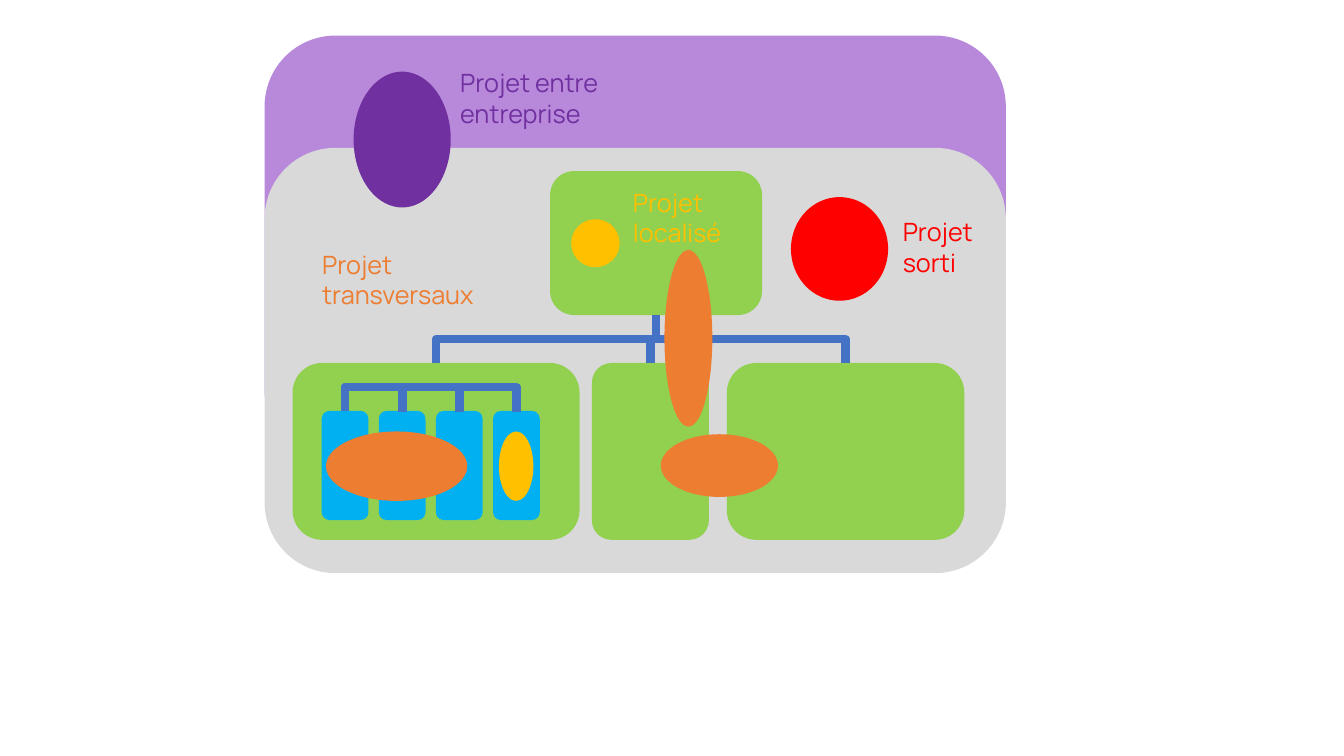
from pptx import Presentation
from pptx import util as u
from pptx.dml import color
from pptx.enum import shapes, text
from pptx.oxml import ns
from lxml import etree

Pt = u.Pt
THEME = {
    "lilac": "B889DB", "grey": "D9D9D9", "green": "92D050", "cyan": "00B0F0",
    "gold": "FFC000", "orange": "ED7D31", "red": "FF0000", "purple": "7030A0",
    "link": "4472C4", "font": "Manrope", "size": 18, "line": 6,
}
ROUND = shapes.MSO_SHAPE.ROUNDED_RECTANGLE
OVAL = shapes.MSO_SHAPE.OVAL


def hue(name):
    """Return a theme colour as RGB."""
    return color.RGBColor.from_string(THEME[name])


def link(start, end, mid):
    """Join two points with an elbow whose level part lies at height mid."""
    (x1, y1), (x2, y2) = start, end
    dx, dy = x2 - x1, y2 - y1
    cx, cy = (x1 + x2) / 2, (y1 + y2) / 2
    # The elbow is laid flat about its centre, then turned upright.
    turn, side = (90, 1) if dx < 0 < dy else (270, -1)
    elbow = slide.shapes.add_connector(
        shapes.MSO_CONNECTOR.ELBOW,
        Pt(cx - side * dy / 2), Pt(cy + side * dx / 2),
        Pt(cx + side * dy / 2), Pt(cy - side * dx / 2))
    elbow.line.color.rgb = hue("link")
    elbow.line.width = Pt(THEME["line"])
    props = elbow._element.spPr
    props.find(ns.qn("a:xfrm")).set("rot", str(turn * 60000))
    bend = etree.SubElement(props.find(".//" + ns.qn("a:avLst")), ns.qn("a:gd"))
    bend.set("name", "adj1")
    bend.set("fmla", f"val {round((mid - y1) / dy * 100000)}")
    etree.SubElement(props, ns.qn("a:effectLst"))


def block(kind, fill, *box):
    """Add a plain filled shape."""
    shape = slide.shapes.add_shape(kind, *map(Pt, box))
    shape.shadow.inherit = False
    shape.fill.solid()
    shape.fill.fore_color.rgb = hue(fill)
    shape.line.fill.background()


deck = Presentation()
deck.slide_width, deck.slide_height = Pt(960), Pt(540)
slide = deck.slides.add_slide(deck.slide_layouts[6])

# Nested firms, head office and departments
for fill, top in (("lilac", 25.4), ("grey", 105.6)):
    block(ROUND, fill, 189, top, 529.5, 303.8)
block(ROUND, "green", 392.9, 122.2, 151.4, 102.8)
for left, width in ((209, 205), (422.8, 83.6), (519.2, 169.6)):
    block(ROUND, "green", left, 259.3, width, 126.3)

# Head office to departments
for x in (311.5, 464.6, 604):
    link((468.6, 225), (x, 259.3), 242.1)
block(OVAL, "gold", 408, 156.6, 34.6, 34.2)

# Teams of the first department
teams = [229.8 + 40.8 * i for i in range(4)]
for left in teams:
    block(ROUND, "cyan", left, 293.5, 33.4, 78)
first = teams[0] + 16.8
for left in (teams[3], teams[1], teams[2]):
    link((left + 16.8, 294.5), (first, 293.5), 276.5)

# Projects
projects = (
    ("gold", 356.4, 308.2, 24.6, 49.6),
    ("orange", 232.8, 308.2, 101, 49.6),
    ("orange", 474.6, 178.5, 34.2, 126.3),
    ("orange", 472, 310.2, 83.8, 44.8),
    ("red", 565, 140.8, 69.4, 74),
    ("purple", 252.6, 51.2, 69.4, 97),
)
for fill, *box in projects:
    block(OVAL, fill, *box)

labels = (
    ("Projet entre entreprise", "purple", 321.6, 44.8, 142.6),
    ("Projet localisé", "gold", 445, 130.4, 93.6),
    ("Projet sorti", "red", 637.8, 151.2, 69.1),
    ("Projet transversaux", "orange", 223, 174.4, 170),
)
frame = {"word_wrap": True, "auto_size": text.MSO_AUTO_SIZE.SHAPE_TO_FIT_TEXT}
face = {"name": THEME["font"], "size": Pt(THEME["size"])}
for words, tone, left, top, width in labels:
    body = slide.shapes.add_textbox(Pt(left), Pt(top), Pt(width), Pt(51)).text_frame
    run = body.paragraphs[0].add_run()
    run.text = words
    run.font.color.rgb = hue(tone)
    for item, values in ((body, frame), (run.font, face)):
        for key, value in values.items():
            setattr(item, key, value)

deck.save("out.pptx")
